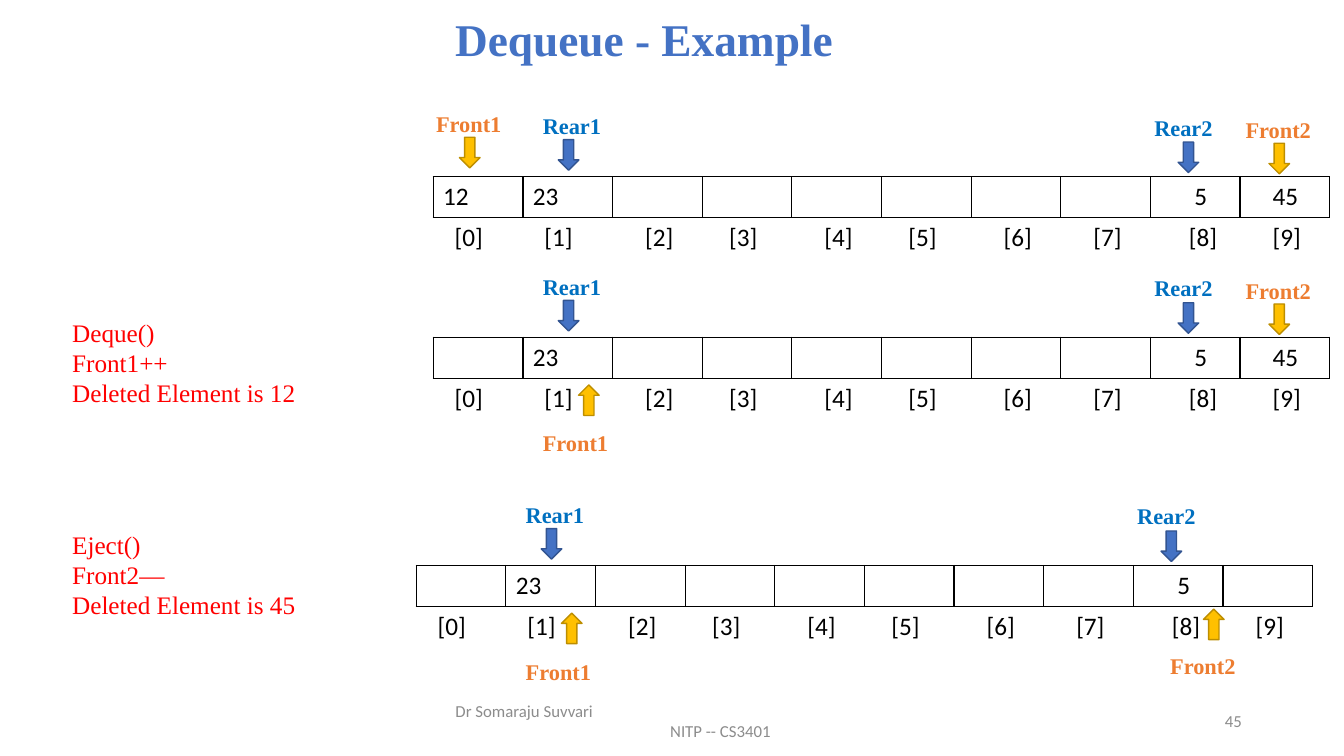
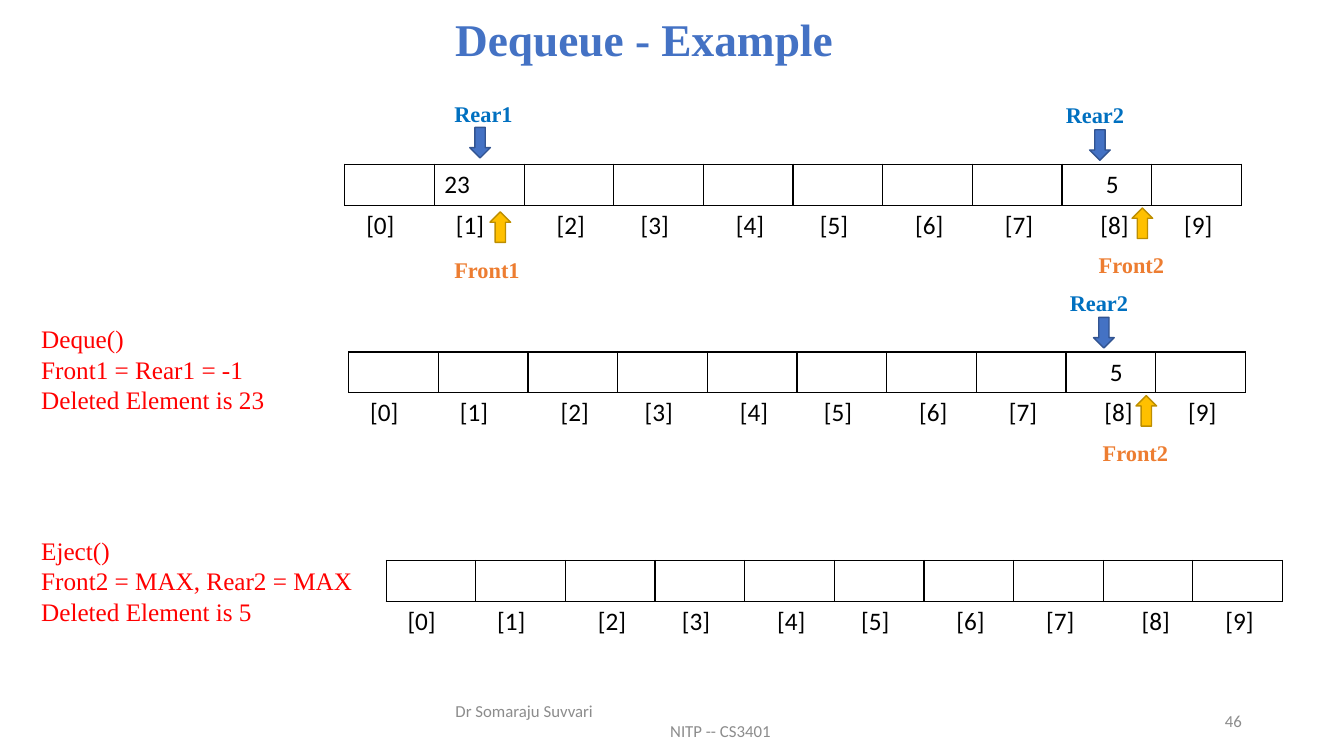
from dataclasses import dataclass, field
from enum import Enum

from lxml.etree import SubElement
from pptx import Presentation
from pptx.dml.color import RGBColor
from pptx.enum.shapes import MSO_SHAPE
from pptx.enum.text import MSO_ANCHOR, MSO_AUTO_SIZE, PP_ALIGN
from pptx.oxml.ns import qn
from pptx.slide import Slide
from pptx.table import _Cell
from pptx.text.text import TextFrame, _Paragraph
from pptx.util import Cm, Pt


@dataclass(frozen=True)
class TextStyle:
    font: str
    size: float
    color: str
    bold: bool = False


@dataclass(frozen=True)
class PointerStyle:
    label: TextStyle
    fill: str
    line: str


@dataclass(frozen=True)
class Theme:
    title: TextStyle = TextStyle("Times New Roman", 32.4, "4472C4", True)
    operation: TextStyle = TextStyle("Times New Roman", 18, "FF0000")
    cell: TextStyle = TextStyle("Calibri", 18, "000000")
    footer: TextStyle = TextStyle("Calibri", 12, "8C8C8C")
    front: PointerStyle = PointerStyle(
        TextStyle("Times New Roman", 16, "ED7D31", True), "FFC000", "BD8E00")
    rear: PointerStyle = PointerStyle(
        TextStyle("Times New Roman", 16, "0070C0", True), "4472C4", "325491")
    border: str = "000000"


THEME = Theme()
COLUMN_WIDTH = 2.26
ROW_HEIGHT = 1.03
CELL_MARGIN = 0.25
INDEX_INDENTS = (0.29, 0.29, 0.57, 0.43, 0.57, 0.43, 0.57, 0.57, 0.72, 0.57)
VALUE_INDENTS = {8: 0.86, 9: 0.57}


@dataclass(frozen=True)
class Pointer:
    name: str
    style: PointerStyle
    arrow: tuple[float, float]
    label: tuple[float, float]
    direction: MSO_SHAPE = MSO_SHAPE.DOWN_ARROW


class Pointers(Enum):
    FRONT1_START = Pointer("Front1", THEME.front, (0.66, -0.99), (-0.18, -1.8))
    REAR1 = Pointer("Rear1", THEME.rear, (3.15, -0.93), (2.51, -1.74))
    REAR2 = Pointer("Rear2", THEME.rear, (18.77, -0.87), (17.92, -1.71))
    FRONT2_END = Pointer("Front2", THEME.front, (21.06, -0.84), (20.22, -1.65))
    FRONT1_MOVED = Pointer("Front1", THEME.front, (3.66, 1.2), (2.51, 2.2), MSO_SHAPE.UP_ARROW)
    FRONT2_MOVED = Pointer("Front2", THEME.front, (19.84, 1.1), (18.75, 2.06), MSO_SHAPE.UP_ARROW)


@dataclass(frozen=True)
class QueueState:
    left: float
    top: float
    values: dict[int, str] = field(default_factory=dict)
    pointers: tuple[Pointers, ...] = ()


@dataclass(frozen=True)
class Operation:
    left: float
    top: float
    lines: tuple[str, ...]


@dataclass(frozen=True)
class ExampleSlide:
    number: int
    states: tuple[QueueState, ...]
    operations: tuple[Operation, ...]


EXAMPLES = (
    ExampleSlide(
        45,
        (
            QueueState(10.92, 4.45, {0: "12", 1: "23", 8: "5", 9: "45"},
                       (Pointers.FRONT1_START, Pointers.REAR1, Pointers.REAR2, Pointers.FRONT2_END)),
            QueueState(10.92, 8.5, {1: "23", 8: "5", 9: "45"},
                       (Pointers.REAR1, Pointers.REAR2, Pointers.FRONT2_END, Pointers.FRONT1_MOVED)),
            QueueState(10.49, 14.25, {1: "23", 8: "5"},
                       (Pointers.REAR1, Pointers.REAR2, Pointers.FRONT1_MOVED, Pointers.FRONT2_MOVED)),
        ),
        (
            Operation(1.57, 7.87, ("Deque()", "Front1++", "Deleted Element is 12")),
            Operation(1.57, 13.21, ("Eject()", "Front2—", "Deleted Element is 45")),
        ),
    ),
    ExampleSlide(
        46,
        (
            QueueState(8.69, 4.14, {1: "23", 8: "5"},
                       (Pointers.REAR1, Pointers.REAR2, Pointers.FRONT1_MOVED, Pointers.FRONT2_MOVED)),
            QueueState(8.79, 8.87, {8: "5"}, (Pointers.REAR2, Pointers.FRONT2_MOVED)),
            QueueState(9.73, 14.12),
        ),
        (
            Operation(0.79, 8.03, ("Deque()", "Front1 = Rear1 = -1", "Deleted Element is 23")),
            Operation(0.79, 13.37, ("Eject()", "Front2 = MAX, Rear2 = MAX", "Deleted Element is 5")),
        ),
    ),
)


def add_run(paragraph: _Paragraph, text: str, style: TextStyle) -> None:
    run = paragraph.add_run()
    run.text = text
    run.font.name = style.font
    run.font.size = Pt(style.size)
    run.font.bold = style.bold
    run.font.color.rgb = RGBColor.from_string(style.color)


def add_text(slide: Slide, left: float, top: float, width: float, height: float,
             lines: tuple[str, ...], style: TextStyle) -> TextFrame:
    frame = slide.shapes.add_textbox(Cm(left), Cm(top), Cm(width), Cm(height)).text_frame
    frame.word_wrap = True
    for position, line in enumerate(lines):
        paragraph = frame.add_paragraph() if position else frame.paragraphs[0]
        add_run(paragraph, line, style)
    return frame


def add_title(slide: Slide) -> None:
    title = slide.shapes.title
    title.left, title.top, title.width, title.height = Cm(3.53), Cm(0.25), Cm(25.4), Cm(1.55)
    frame = title.text_frame
    frame.auto_size = MSO_AUTO_SIZE.NONE
    frame.vertical_anchor = MSO_ANCHOR.BOTTOM
    heading = frame.paragraphs[0]
    heading.alignment = PP_ALIGN.CENTER
    heading.line_spacing = 0.9
    add_run(heading, "Dequeue - Example", THEME.title)


def add_footer(slide: Slide, number: int) -> None:
    credits = add_text(slide, 11.23, 17.65, 11.43, 1.02,
                       ("Dr Somaraju Suvvari", "NITP -- CS3401"), THEME.footer)
    credits.vertical_anchor = MSO_ANCHOR.MIDDLE
    credits.paragraphs[1]._p.get_or_add_pPr().set("marL", str(Cm(5.41)))
    page = add_text(slide, 23.93, 17.65, 7.62, 1.02, (str(number),), THEME.footer)
    page.vertical_anchor = MSO_ANCHOR.MIDDLE
    page.paragraphs[0].alignment = PP_ALIGN.RIGHT


def set_borders(cell: _Cell, visible: str) -> None:
    properties = cell._tc.get_or_add_tcPr()
    for side in "LRTB":
        border = SubElement(properties, qn(f"a:ln{side}"), w=str(Pt(1)))
        if side in visible:
            fill = SubElement(border, qn("a:solidFill"))
            SubElement(fill, qn("a:srgbClr"), val=THEME.border)
        else:
            SubElement(border, qn("a:noFill"))


def fill_cell(cell: _Cell, text: str, indent: float, borders: str) -> None:
    set_borders(cell, borders)
    cell.fill.background()
    cell.margin_left = Cm(CELL_MARGIN + indent)
    cell.margin_right = Cm(0)
    paragraph = cell.text_frame.paragraphs[0]
    paragraph.font.size = Pt(THEME.cell.size)
    if text:
        add_run(paragraph, text, THEME.cell)


def add_queue(slide: Slide, state: QueueState) -> None:
    size = len(INDEX_INDENTS)
    queue = slide.shapes.add_table(2, size, Cm(state.left), Cm(state.top),
                                   Cm(size * COLUMN_WIDTH), Cm(2 * ROW_HEIGHT)).table
    queue.first_row = False
    queue.horz_banding = False
    for row in queue.rows:
        row.height = Cm(ROW_HEIGHT)
    for index, indent in enumerate(INDEX_INDENTS):
        queue.columns[index].width = Cm(COLUMN_WIDTH)
        fill_cell(queue.cell(0, index), state.values.get(index, ""),
                  VALUE_INDENTS.get(index, 0), "LRTB")
        fill_cell(queue.cell(1, index), f"[{index}]", indent, "T")
    for pointer in state.pointers:
        add_pointer(slide, state, pointer.value)


def add_pointer(slide: Slide, state: QueueState, pointer: Pointer) -> None:
    dx, dy = pointer.arrow
    arrow = slide.shapes.add_shape(pointer.direction, Cm(state.left + dx), Cm(state.top + dy),
                                   Cm(0.52), Cm(0.77))
    arrow.shadow.inherit = False
    arrow.fill.solid()
    arrow.fill.fore_color.rgb = RGBColor.from_string(pointer.style.fill)
    arrow.line.color.rgb = RGBColor.from_string(pointer.style.line)
    arrow.line.width = Pt(1)
    dx, dy = pointer.label
    add_text(slide, state.left + dx, state.top + dy, 2.4, 0.94,
             (pointer.name,), pointer.style.label)


def main() -> None:
    presentation = Presentation()
    presentation.slide_width = Cm(33.87)
    presentation.slide_height = Cm(19.05)
    title_only = presentation.slide_layouts[5]
    for example in EXAMPLES:
        slide = presentation.slides.add_slide(title_only)
        add_title(slide)
        for state in example.states:
            add_queue(slide, state)
        for operation in example.operations:
            add_text(slide, operation.left, operation.top, 8.64, 2.6,
                     operation.lines, THEME.operation)
        add_footer(slide, example.number)
    presentation.save("out.pptx")


if __name__ == "__main__":
    main()
